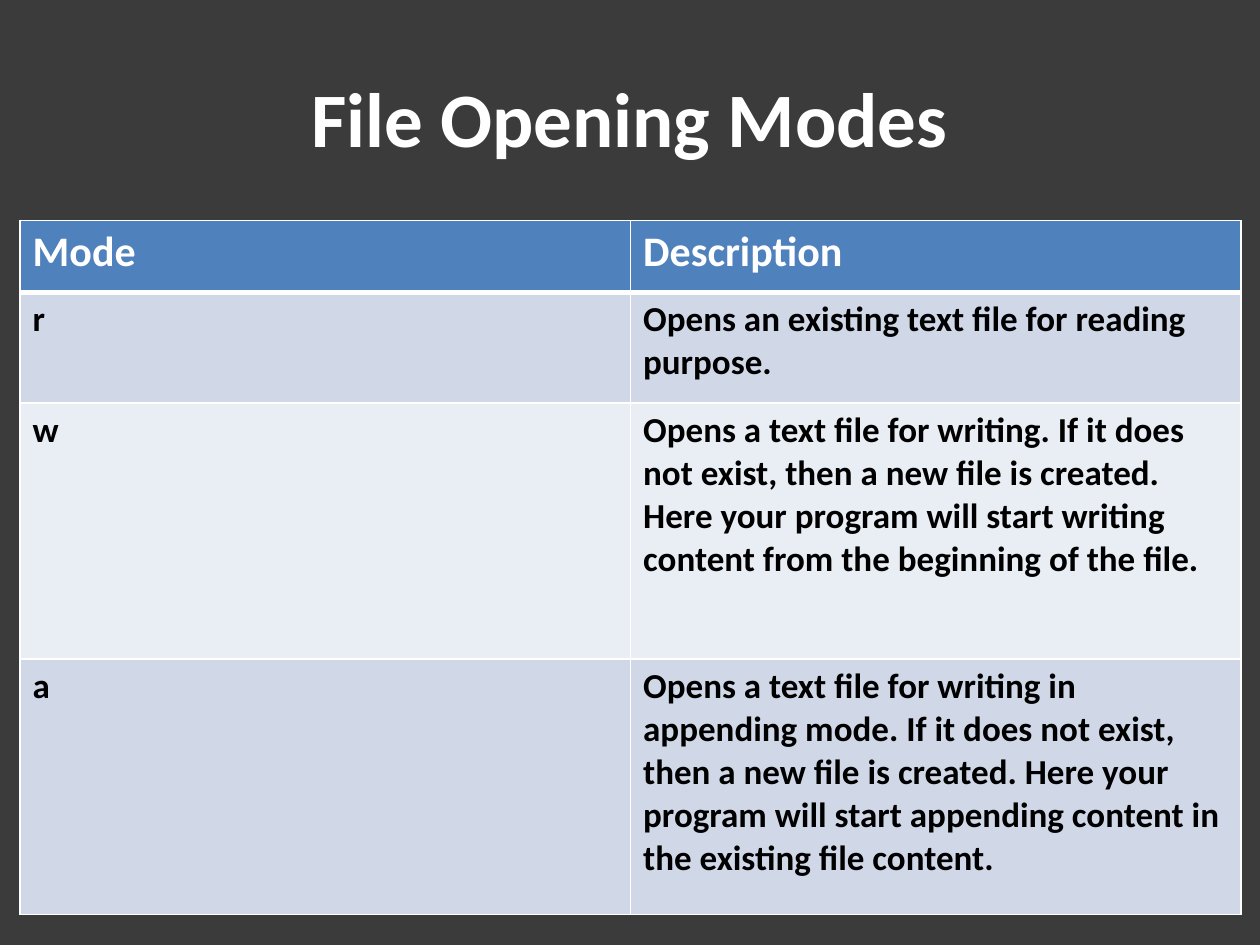
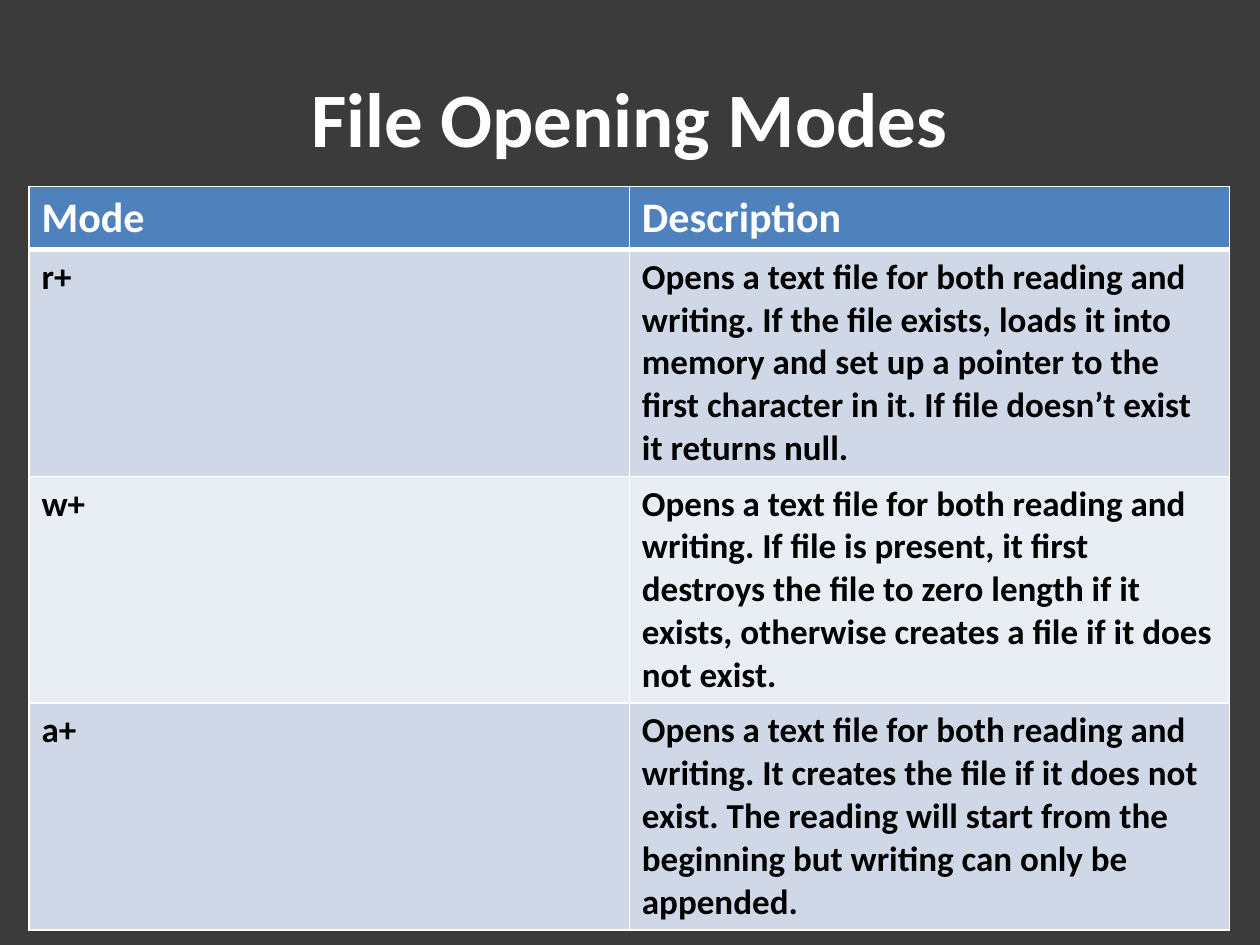
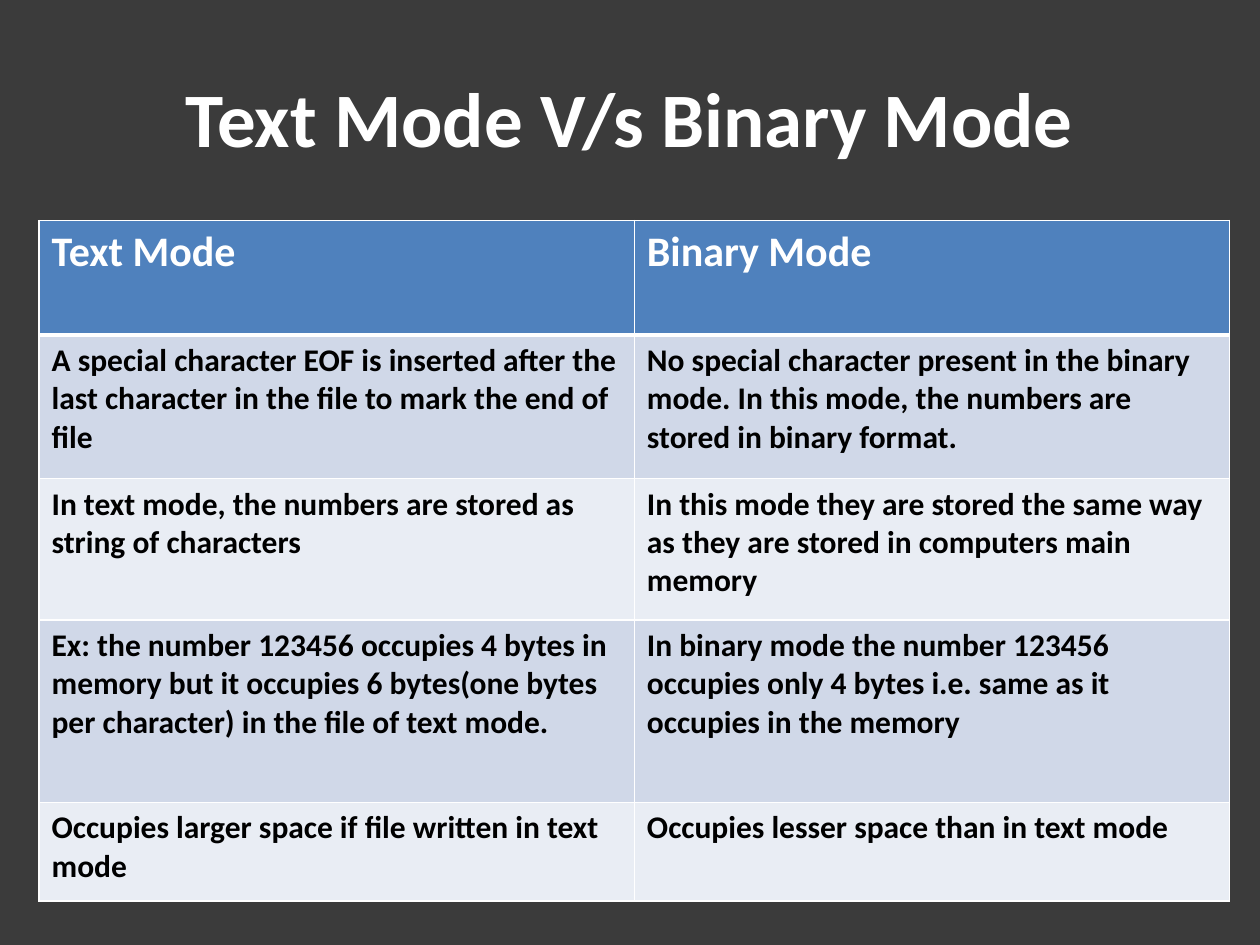
import pptx
import pptx.util
import pptx.dml.color
import pptx.enum.text
import pptx.oxml
import pptx.oxml.ns
from pptx.util import Inches

COLORS = {
    "background": "3B3B3B",
    "header": "4F81BD",
    "odd_row": "D0D8E8",
    "even_row": "E9EDF4",
    "light": "FFFFFF",
    "dark": "000000",
}
FONT = "Calibri"
ALIGN = pptx.enum.text.PP_ALIGN
ANCHOR = pptx.enum.text.MSO_ANCHOR
TITLE_BOX = (0.5, 0.3, 9, 1.25)

SLIDES = [
    {
        "title": "File Opening Modes",
        "box": (0.16, 1.75, 9.69),
        "heights": [0.57, 0.88, 2.03, 2.03],
        "body_size": 20,
        "rows": [
            ("Mode", "Description"),
            ("r", "Opens an existing text file for reading purpose. "),
            ("w", "Opens a text file for writing. If it does not exist, then a new file is created. "
                  "Here your program will start writing content from the beginning of the file."),
            ("a", "Opens a text file for writing in appending mode. If it does not exist, then a new "
                  "file is created. Here your program will start appending content in the existing "
                  "file content."),
        ],
    },
    {
        "title": "File Opening Modes",
        "box": (0.23, 1.48, 9.53),
        "heights": [0.5, 1.8, 1.8, 1.8],
        "body_size": 20,
        "rows": [
            ("Mode", "Description"),
            ("r+", "Opens a text file for both reading and writing. If the file exists, loads it into "
                   "memory and set up a pointer to the first character in it. If file doesn’t exist "
                   "it returns null. "),
            ("w+", "Opens a text file for both reading and writing. If file is present, it first "
                   "destroys the file to zero length if it exists, otherwise creates a file if it "
                   "does not exist."),
            ("a+", "Opens a text file for both reading and writing. It creates the file if it does "
                   "not exist. The reading will start from the beginning but writing can only be "
                   "appended."),
        ],
    },
    {
        "title": "Text Mode V/s Binary Mode",
        "box": (0.31, 1.75, 9.45),
        "heights": [0.91, 1.14, 1.12, 1.45, 0.78],
        "body_size": 18,
        "rows": [
            ("Text Mode", "Binary Mode"),
            ("A special character EOF is inserted after the last character in the file to mark the "
             "end of file",
             "No special character present in the binary mode. In this mode, the numbers are stored "
             "in binary format."),
            ("In text mode, the numbers are stored as string of characters ",
             "In this mode they are stored the same way as they are stored in computers main memory"),
            ("Ex: the number 123456 occupies 4 bytes in memory but it occupies 6 bytes(one bytes per "
             "character) in the file of text mode. ",
             "In binary mode the number 123456 occupies only 4 bytes i.e. same as it occupies in the "
             "memory"),
            ("Occupies larger space if file written in text mode",
             "Occupies lesser space than in text mode "),
        ],
    },
]


def rgb(name):
    """Return the named colour."""
    return pptx.dml.color.RGBColor.from_string(COLORS[name])


def write_text(frame, text, size, color, align=ALIGN.LEFT):
    """Put one bold, formatted paragraph into a text frame."""
    frame.word_wrap = True
    paragraph = frame.paragraphs[0]
    paragraph.alignment = align
    run = paragraph.add_run()
    run.text = text
    run.font.name = FONT
    run.font.size = pptx.util.Pt(size)
    run.font.bold = True
    run.font.color.rgb = rgb(color)


def set_borders(cell, top=1, bottom=1):
    """Draw white borders around a cell, with widths in points."""
    properties = cell._tc.get_or_add_tcPr()
    widths = {"lnL": 1, "lnR": 1, "lnT": top, "lnB": bottom}
    for position, (side, width) in enumerate(widths.items()):
        border = pptx.oxml.parse_xml(
            f'<a:{side} {pptx.oxml.ns.nsdecls("a")} w="{pptx.util.Pt(width)}">'
            f'<a:solidFill><a:srgbClr val="{COLORS["light"]}"/></a:solidFill></a:{side}>'
        )
        properties.insert(position, border)


def add_title(slide, text, box):
    """Place the centred slide title in its box."""
    title = slide.shapes.add_textbox(*map(Inches, box))
    title.text_frame.vertical_anchor = ANCHOR.MIDDLE
    write_text(title.text_frame, text, size=44, color="light", align=ALIGN.CENTER)


def add_comparison(slide, rows, box, heights, body_size):
    """Place a banded table with equal columns and a header row."""
    left, top, width = box
    columns = len(rows[0])
    table = slide.shapes.add_table(
        len(rows), columns, Inches(left), Inches(top), Inches(width), Inches(sum(heights))
    ).table
    for column in table.columns:
        column.width = Inches(width / columns)
    for index, (texts, height) in enumerate(zip(rows, heights)):
        table.rows[index].height = Inches(height)
        is_header = index == 0
        fill = "header" if is_header else ("odd_row" if index % 2 else "even_row")
        for cell, text in zip(table.rows[index].cells, texts):
            cell.fill.solid()
            cell.fill.fore_color.rgb = rgb(fill)
            set_borders(cell, top=3 if index == 1 else 1, bottom=3 if is_header else 1)
            write_text(cell.text_frame, text, size=24 if is_header else body_size,
                       color="light" if is_header else "dark")


def add_table_slide(deck, title, **table):
    """Add a dark slide with a title above a table."""
    slide = deck.slides.add_slide(deck.slide_layouts[6])
    slide.background.fill.solid()
    slide.background.fill.fore_color.rgb = rgb("background")
    add_title(slide, title, TITLE_BOX)
    add_comparison(slide, **table)


def main():
    """Build and save the deck."""
    deck = pptx.Presentation()
    deck.slide_width = Inches(10)
    deck.slide_height = Inches(7.5)
    for content in SLIDES:
        add_table_slide(deck, **content)
    deck.save("out.pptx")


main()
